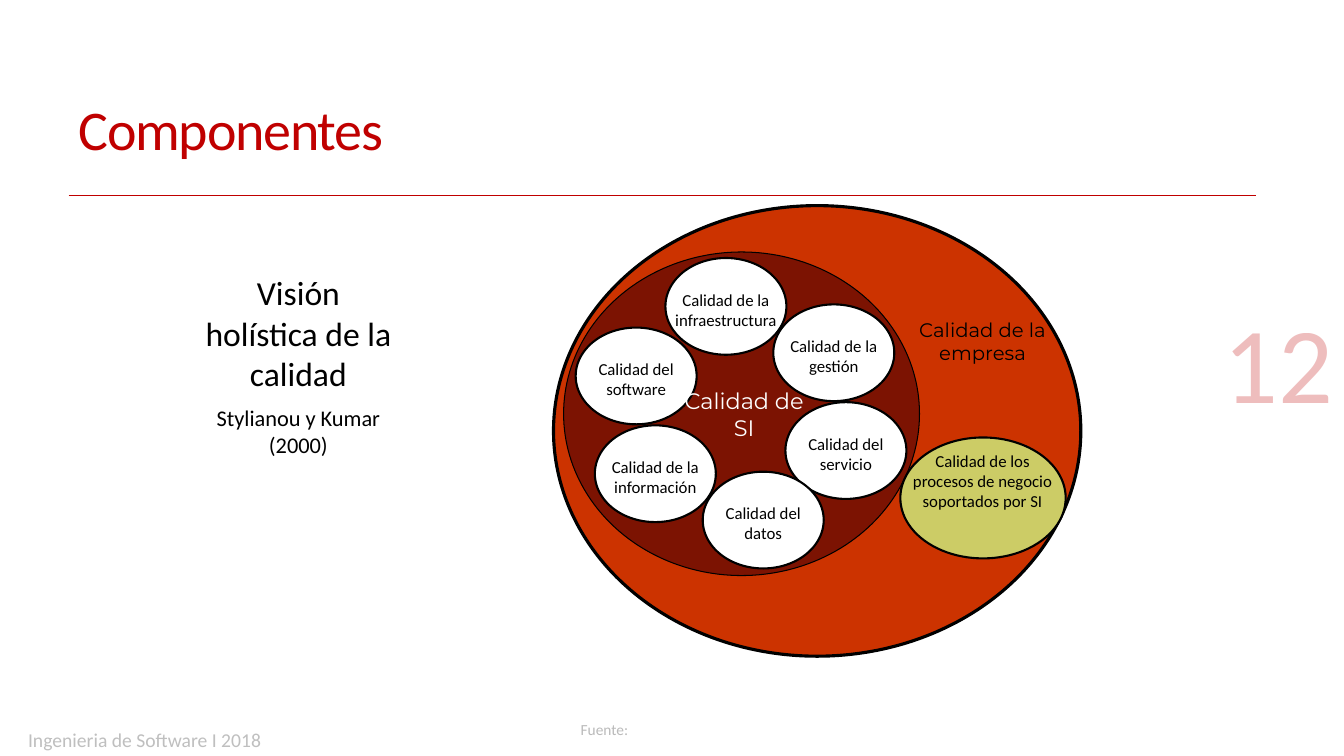
from lxml import etree
from pptx import Presentation
from pptx.dml.color import RGBColor
from pptx.enum import shapes, text
from pptx.oxml import ns
from pptx.util import Inches, Pt

COLORS = {"red": "C00000", "black": "000000", "white": "FFFFFF", "footer": "BFBFBF",
          "source": "8C8C8C", "company": "CC3300", "system": "7C1302", "process": "CCCC66"}
LEFT, CENTER, RIGHT = text.PP_ALIGN.LEFT, text.PP_ALIGN.CENTER, text.PP_ALIGN.RIGHT
TIGHT = (0.05, 0.02)
ASPECTS = [("Calidad de la infraestructura", 1.11, 0.52),
           ("Calidad de la gestión", 2.18, 0.98),
           ("Calidad del servicio", 2.3, 1.95),
           ("Calidad del datos", 1.48, 2.64),
           ("Calidad de la información", 0.41, 2.18),
           ("Calidad del software", 0.22, 1.21)]


def color(name):
    """Return the named palette colour."""
    return RGBColor.from_string(COLORS[name])


def style(p, size, fill, font="Calibri", align=LEFT, alpha=None):
    """Format a paragraph and its runs."""
    p.alignment = align
    for r in p.runs:
        r.font.size, r.font.name = Pt(size), font
        r.font.color.rgb = color(fill)
        if alpha:
            srgb = r.font.fill._xPr.find(".//" + ns.qn("a:srgbClr"))
            etree.SubElement(srgb, ns.qn("a:alpha")).set("val", str(alpha * 1000))


def add_text(parent, box, words, size, fill="black", inset=(0.1, 0.05), wrap=True, **fmt):
    """Add a text box with one paragraph and return its frame."""
    tf = parent.add_textbox(*map(Inches, box)).text_frame
    tf.word_wrap = wrap
    tf.margin_left = tf.margin_right = Inches(inset[0])
    tf.margin_top = tf.margin_bottom = Inches(inset[1])
    tf.text = words
    style(tf.paragraphs[0], size, fill, **fmt)
    return tf


def add_ellipse(parent, box, fill, width):
    """Add a filled ellipse with a black outline."""
    sp = parent.add_shape(shapes.MSO_SHAPE.OVAL, *map(Inches, box))
    sp.shadow.inherit = False
    sp.fill.solid()
    sp.fill.fore_color.rgb = color(fill)
    sp.line.color.rgb = color("black")
    sp.line.width = Pt(width)


def add_header(s, x, y, w, h):
    """Place the title and the rule along the bottom of its box."""
    rule = s.shapes.add_connector(shapes.MSO_CONNECTOR.STRAIGHT, Inches(x), Inches(y + h),
                                  Inches(x + w), Inches(y + h))
    rule.line.color.rgb = color("red")
    rule.line.width = Pt(0.75)
    etree.SubElement(rule._element.spPr, ns.qn("a:effectLst"))
    title = s.shapes.title
    title.left, title.top, title.width, title.height = map(Inches, (x, y, w, h))
    tf = title.text_frame
    tf.text = "Componentes"
    tf.vertical_anchor = text.MSO_ANCHOR.MIDDLE
    p = tf.paragraphs[0]
    p.line_spacing = 0.85
    style(p, 40, "red")
    p.runs[0].font._element.set("spc", "-90")


def add_vision(s, x, y, w, h):
    """Place the name of the model and its authors."""
    tf = add_text(s.shapes, (x, y, w, h), "Visión holística de la calidad", 24, align=CENTER)
    p = tf.add_paragraph()
    p.text = "Stylianou y Kumar (2000)"
    p.space_before = Pt(8)
    style(p, 16, "black", align=CENTER)


def add_quality_map(s, x, y, w, h):
    """Place the nested ellipses of company and system quality."""
    group = s.shapes.add_group_shape().shapes
    label = {"inset": TIGHT, "align": CENTER}
    add_ellipse(group, (x, y, w, h), "company", 2.25)
    add_ellipse(group, (x + 0.1, y + 0.46, 3.53, 3.21), "system", 0.75)
    add_ellipse(group, (x + 3.44, y + 2.3, 1.64, 1.2), "process", 1.5)
    add_text(group, (x + 3.5, y + 2.41, 1.51, 0.89),
             "Calidad de los procesos de negocio soportados por SI", 12, **label)
    for words, dx, dy in ASPECTS:
        add_ellipse(group, (x + dx, y + dy, 1.2, 0.96), "white", 1.5)
        add_text(group, (x + dx, y + dy + 0.29, 1.2, 0.44), words, 12, **label)
    add_text(group, (x + 3.56, y + 1.09, 1.39, 0.89), "Calidad de la empresa", 14,
             font="Montserrat", **label)
    add_text(group, (x + 1.23, y + 1.78, 1.32, 0.53), "Calidad de SI", 16, "white",
             font="Montserrat", **label)


def add_footer(s, x, y, w, h):
    """Place the course name, the source and the slide number."""
    add_text(s.shapes, (x, y, w, h), "Ingenieria de Software I 2018", 14, "footer")
    add_text(s.shapes, (x + 5.48, y - 0.08, 0.72, 0.29), "Fuente:", 11, "source",
             wrap=False, alpha=60)
    tf = add_text(s.shapes, (x + 9.94, y - 4.05, 3.2, 1.15), "12", 77.2, "red",
                  align=RIGHT, alpha=25)
    tf.vertical_anchor = text.MSO_ANCHOR.BOTTOM


def main():
    """Build the slide and save it."""
    prs = Presentation()
    prs.slide_width, prs.slide_height = Inches(13.33), Inches(7.5)
    s = prs.slides.add_slide(prs.slide_layouts[5])
    add_header(s, 0.68, 0.7, 11.78, 1.24)
    add_footer(s, 0.18, 7.17, 3.44, 0.23)
    add_vision(s, 1.86, 2.65, 2.2, 1.99)
    add_quality_map(s, 5.49, 2.04, 5.23, 4.47)
    prs.save("out.pptx")


if __name__ == "__main__":
    main()
